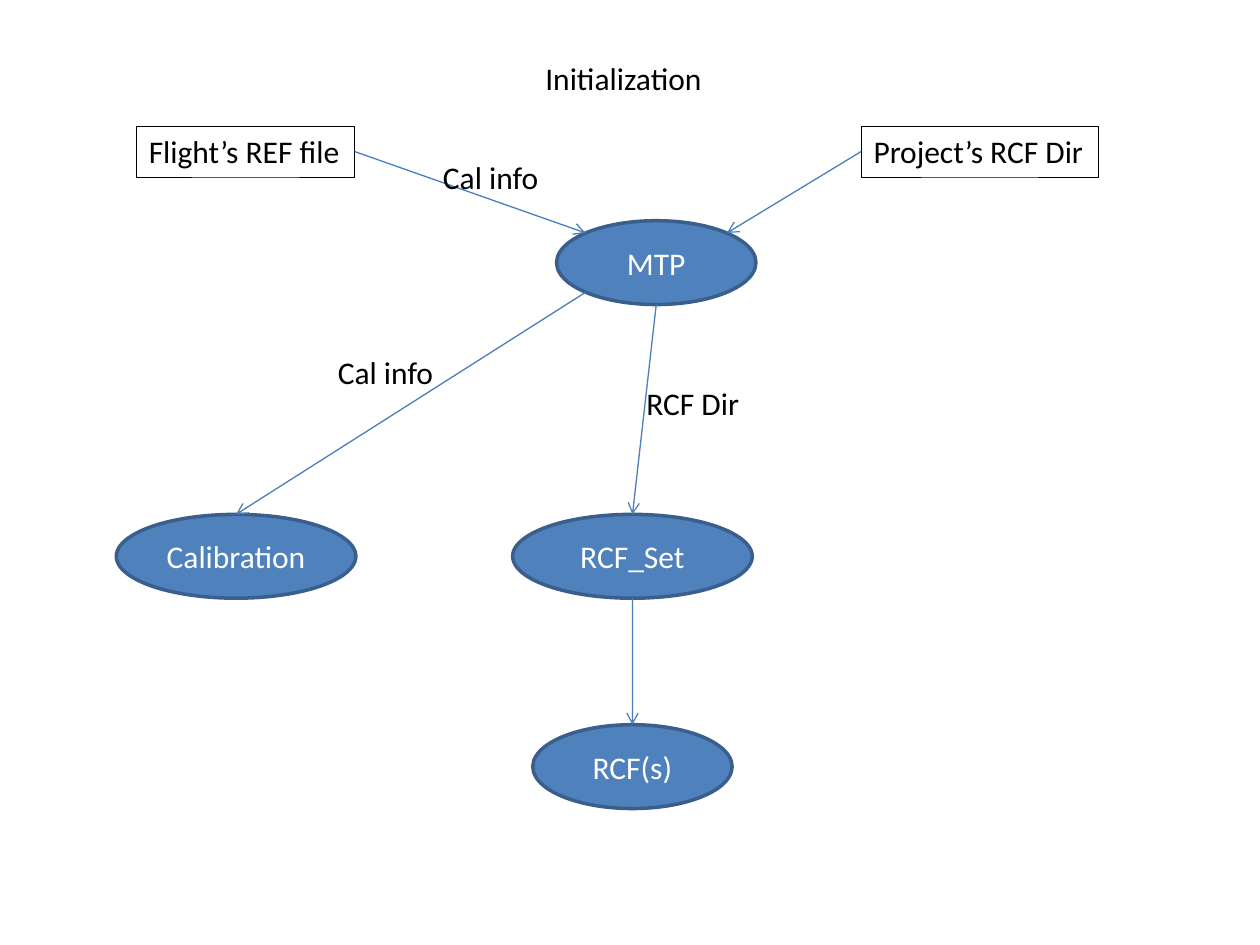
from lxml import etree
from pptx import Presentation
from pptx import util as u
from pptx.dml.color import RGBColor
from pptx.enum import shapes, text
from pptx.oxml import ns

COLORS = {"node": "4F81BD", "edge": "3A5F8C", "arrow": "4B7EBC", "ink": "000000", "paper": "FFFFFF"}
DIAGONAL = 0.71
TOP, BOTTOM, LEFT, RIGHT = (0, -1), (0, 1), (-1, 0), (1, 0)
TOP_LEFT, TOP_RIGHT = (-DIAGONAL, -DIAGONAL), (DIAGONAL, -DIAGONAL)
BOTTOM_LEFT = (-DIAGONAL, DIAGONAL)


def color(name):
    return RGBColor.from_string(COLORS[name])


def write(shape, words, ink="ink", align=text.PP_ALIGN.LEFT, anchor=text.MSO_ANCHOR.TOP,
          wrap=False, fit=text.MSO_AUTO_SIZE.SHAPE_TO_FIT_TEXT, size=18, font="Calibri"):
    frame = shape.text_frame
    frame.word_wrap = wrap
    frame.auto_size = fit
    frame.vertical_anchor = anchor
    para = frame.paragraphs[0]
    para.alignment = align
    span = para.add_run()
    span.text = words
    span.font.size = u.Pt(size)
    span.font.name = font
    span.font.color.rgb = color(ink)


def site(shape, direction):
    across, down = direction
    return (int(shape.left + shape.width / 2 * (1 + across)),
            int(shape.top + shape.height / 2 * (1 + down)))


class Diagram:
    node_height = 1.69
    line_height = 1.03

    def __init__(self, deck):
        self.slide = deck.slides.add_slide(deck.slide_layouts[5])

    def title(self, words, left, top, width):
        box = self.slide.shapes.title
        box.left, box.top = u.Cm(left), u.Cm(top)
        box.width, box.height = u.Cm(width), u.Cm(self.line_height)
        write(box, words)

    def label(self, words, left, top, width):
        box = self.slide.shapes.add_textbox(
            u.Cm(left), u.Cm(top), u.Cm(width), u.Cm(self.line_height))
        write(box, words)
        return box

    def source(self, words, left, top, width):
        box = self.label(words, left, top, width)
        box.line.color.rgb = color("ink")
        box.line.width = u.Pt(0.5)
        return box

    def node(self, words, center, top, width):
        oval = self.slide.shapes.add_shape(
            shapes.MSO_SHAPE.OVAL, u.Cm(center - width / 2), u.Cm(top),
            u.Cm(width), u.Cm(self.node_height))
        oval.shadow.inherit = False
        oval.fill.solid()
        oval.fill.fore_color.rgb = color("node")
        oval.line.color.rgb = color("edge")
        oval.line.width = u.Pt(2)
        write(oval, words, ink="paper", align=text.PP_ALIGN.CENTER,
              anchor=text.MSO_ANCHOR.MIDDLE, wrap=True, fit=text.MSO_AUTO_SIZE.NONE)
        return oval

    def arrow(self, start, start_side, end, end_side):
        line = self.slide.shapes.add_connector(
            shapes.MSO_CONNECTOR.STRAIGHT, *site(start, start_side), *site(end, end_side))
        line.line.color.rgb = color("arrow")
        line.line.width = u.Pt(0.75)
        etree.SubElement(line.line._get_or_add_ln(), ns.qn("a:tailEnd"), type="arrow")
        etree.SubElement(line._element.spPr, ns.qn("a:effectLst"))


def main():
    deck = Presentation()
    deck.slide_width, deck.slide_height = u.Cm(25.4), u.Cm(19.05)
    page = Diagram(deck)
    page.title("Initialization", 10.74, 1.06, 3.71)

    mtp = page.node("MTP", 13.23, 4.45, 4.02)
    calibration = page.node("Calibration", 4.76, 10.37, 4.83)
    rcf_set = page.node("RCF_Set", 12.75, 10.37, 4.83)
    rcfs = page.node("RCF(s)", 12.75, 14.61, 4.02)
    ref_file = page.source("Flight’s REF file", 2.75, 2.54, 4.4)
    rcf_dir = page.source("Project’s RCF Dir", 17.36, 2.54, 4.78)

    page.arrow(ref_file, RIGHT, mtp, TOP_LEFT)
    page.arrow(rcf_dir, LEFT, mtp, TOP_RIGHT)
    page.arrow(mtp, BOTTOM_LEFT, calibration, TOP)
    page.arrow(mtp, BOTTOM, rcf_set, TOP)
    page.arrow(rcf_set, BOTTOM, rcfs, TOP)

    page.label("Cal info", 8.68, 3.06, 2.46)
    page.label("Cal info", 6.56, 6.99, 2.46)
    page.label("RCF Dir", 12.78, 7.62, 2.41)
    deck.save("out.pptx")


if __name__ == "__main__":
    main()
